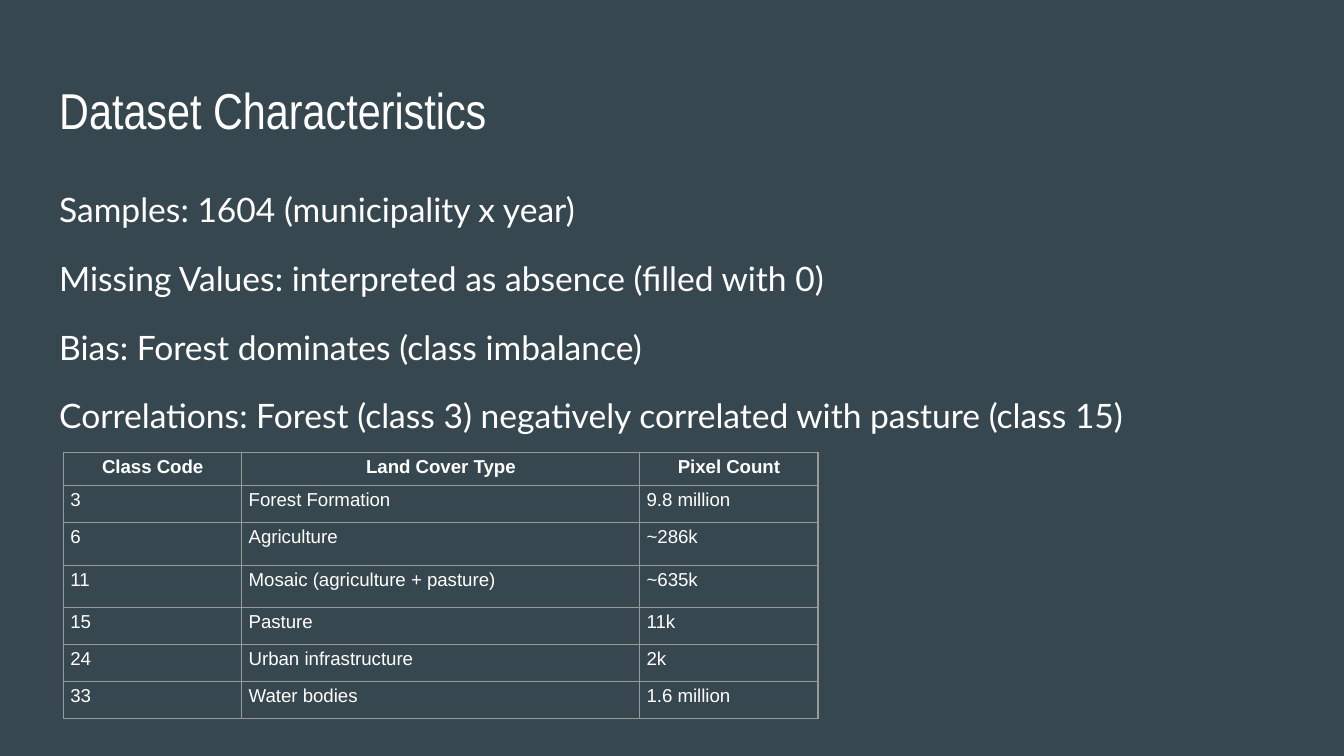
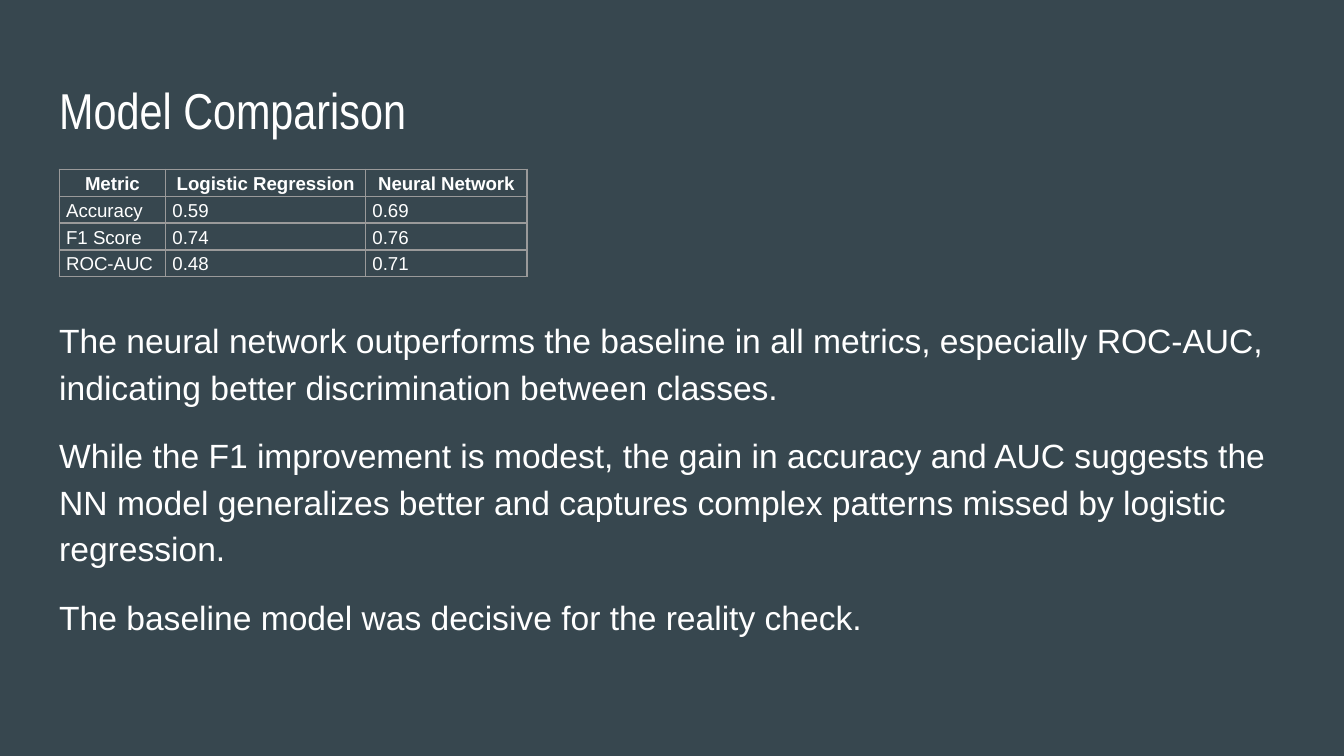
import pptx
import pptx.dml.color
import pptx.enum.text
import pptx.oxml
import pptx.oxml.ns
import pptx.util
from pptx.util import Cm

BACKGROUND = "37474F"
TEXT = "FFFFFF"
GRID = "9A9A9A"
LEFT, WIDTH = 0.87, 23.67
TITLE_BOX = (LEFT, 1.24, WIDTH, 1.6)
INSET = 0.25
LINE_SPACING = 1.15
CENTER = pptx.enum.text.PP_ALIGN.CENTER


def color(value):
    return pptx.dml.color.RGBColor.from_string(value)


def add_run(paragraph, text, font, size, bold=False):
    run = paragraph.add_run()
    run.text = text
    run.font.name = font
    run.font.size = pptx.util.Pt(size)
    run.font.bold = bold
    run.font.color.rgb = color(TEXT)


def add_text_frame(slide, box, top_inset=INSET):
    frame = slide.shapes.add_textbox(*map(Cm, box)).text_frame
    frame.word_wrap = True
    frame.margin_left = frame.margin_right = frame.margin_bottom = Cm(INSET)
    frame.margin_top = Cm(top_inset)
    return frame


def add_titled_slide(deck, title):
    slide = deck.slides.add_slide(deck.slide_layouts[6])
    slide.background.fill.solid()
    slide.background.fill.fore_color.rgb = color(BACKGROUND)
    heading = add_text_frame(slide, TITLE_BOX).paragraphs[0]
    add_run(heading, title, "Arial Narrow", 27)
    return slide


def add_body(slide, box, statements, font, top_inset=INSET):
    frame = add_text_frame(slide, box, top_inset)
    for index, statement in enumerate(statements):
        paragraph = frame.add_paragraph() if index else frame.paragraphs[0]
        paragraph.line_spacing = LINE_SPACING
        paragraph.space_before = pptx.util.Pt(12 if index else 0)
        add_run(paragraph, statement, font, 18)
    paragraph.space_after = pptx.util.Pt(12)


def outline_cell(cell):
    properties = cell._tc.get_or_add_tcPr()
    for index, side in enumerate(("lnL", "lnR", "lnT", "lnB")):
        line = pptx.oxml.parse_xml(
            f'<a:{side} {pptx.oxml.ns.nsdecls("a")} w="9525"><a:solidFill>'
            f'<a:srgbClr val="{GRID}"/></a:solidFill></a:{side}>')
        properties.insert(index, line)


def add_grid(slide, left, top, column_widths, row_heights, rows):
    """Add an unfilled table whose first row is a bold, centred header."""
    table = slide.shapes.add_table(
        len(rows), len(column_widths), Cm(left), Cm(top),
        Cm(sum(column_widths)), Cm(sum(row_heights))).table
    table.horz_banding = False
    for column, width in zip(table.columns, column_widths):
        column.width = Cm(width)
    for row_index, (row, height) in enumerate(zip(table.rows, row_heights)):
        row.height = Cm(height)
        for cell, text in zip(row.cells, rows[row_index]):
            is_header = row_index == 0
            cell.margin_left = cell.margin_right = Cm(0.13)
            cell.margin_top = Cm(0.02)
            cell.margin_bottom = Cm(0)
            cell.fill.background()
            outline_cell(cell)
            paragraph = cell.text_frame.paragraphs[0]
            paragraph.line_spacing = LINE_SPACING
            if is_header:
                paragraph.alignment = CENTER
            add_run(paragraph, text, "Arial", 10, is_header)


def build_dataset_slide(deck):
    slide = add_titled_slide(deck, "Dataset Characteristics")
    add_body(slide, (LEFT, 3.21, WIDTH, 9.5), [
        "Samples: 1604 (municipality x year)",
        "Missing Values: interpreted as absence (filled with 0)",
        "Bias: Forest dominates (class imbalance)",
        "Correlations: Forest (class 3) negatively correlated with pasture (class 15)",
    ], "Lato")
    add_grid(slide, 1.2, 8.55, [3.37, 7.52, 3.37],
             [0.62, 0.7, 0.82, 0.79, 0.7, 0.71, 0.7], [
        ("Class Code", "Land Cover Type", "Pixel Count"),
        ("3", "Forest Formation", "9.8 million"),
        ("6", "Agriculture", "~286k"),
        ("11", "Mosaic (agriculture + pasture)", "~635k"),
        ("15", "Pasture", "11k"),
        ("24", "Urban infrastructure", "2k"),
        ("33", "Water bodies", "1.6 million"),
    ])


def build_comparison_slide(deck):
    slide = add_titled_slide(deck, "Model Comparison")
    add_body(slide, (LEFT, 3.21, WIDTH, 11.07), [
        "The neural network outperforms the baseline in all metrics, especially "
        "ROC-AUC, indicating better discrimination between classes.",
        "While the F1 improvement is modest, the gain in accuracy and AUC suggests "
        "the NN model generalizes better and captures complex patterns missed by "
        "logistic regression.",
        "The baseline model was decisive for the reality check.",
    ], "Arial", top_inset=2.73)
    add_grid(slide, 1.12, 3.2, [2.01, 3.78, 3.05], [0.5] * 4, [
        ("Metric", "Logistic Regression", "Neural Network"),
        ("Accuracy", "0.59", "0.69"),
        ("F1 Score", "0.74", "0.76"),
        ("ROC-AUC", "0.48", "0.71"),
    ])


def main():
    deck = pptx.Presentation()
    deck.slide_width, deck.slide_height = Cm(25.4), Cm(14.29)
    build_dataset_slide(deck)
    build_comparison_slide(deck)
    deck.save("out.pptx")


if __name__ == "__main__":
    main()
